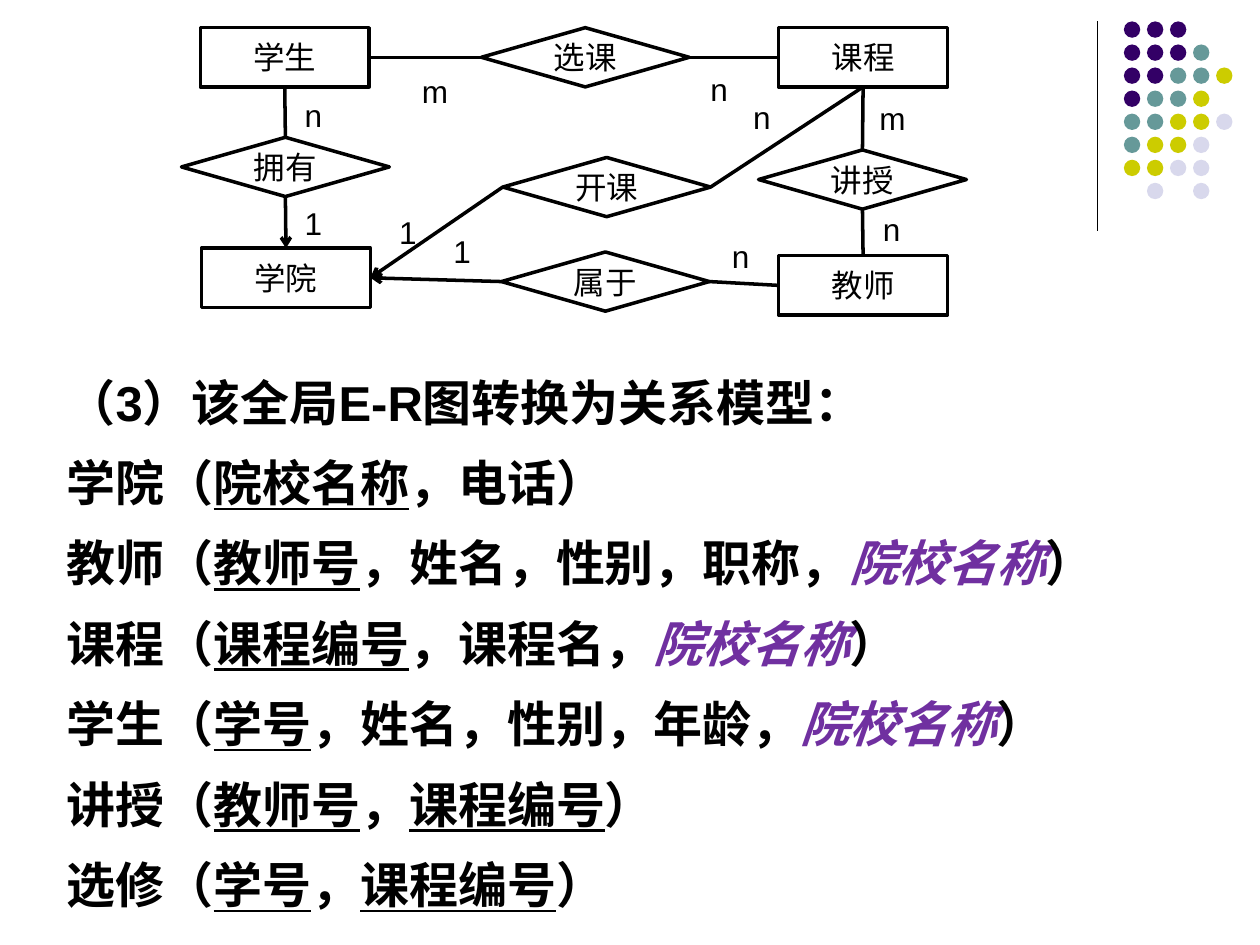
import pptx
import pptx.util
import pptx.dml.color
import pptx.enum.shapes
import pptx.enum.text
import pptx.oxml
import pptx.oxml.ns

Inches = pptx.util.Inches
Pt = pptx.util.Pt
SHAPE = pptx.enum.shapes.MSO_SHAPE
TOP, LEFT, BOTTOM, RIGHT = range(4)
FONT = "Arial"
BLACK = "000000"
PURPLE = "7030A0"
DOT_COLOURS = {"P": "330066", "T": "669999", "Y": "CCCC00", "L": "D8D8EC"}
DOT_ROWS = ["PPP", "PPPT", "PPTTY", "PTTY", "TTYYL", "TYYL", "YYLL", " L L"]

ENTITIES = {
    "学生": (0.15, 0),
    "课程": (4.74, 0),
    "学院": (0.16, 1.75),
    "教师": (4.74, 1.81),
}
RELATIONSHIPS = {
    "拥有": (0, 0.87),
    "选课": (2.38, 0),
    "开课": (2.55, 1.03),
    "属于": (2.54, 1.78),
    "讲授": (4.58, 0.97),
}
LINKS = [
    ("学生", BOTTOM, "拥有", TOP, False),
    ("拥有", BOTTOM, "学院", TOP, True),
    ("课程", LEFT, "选课", RIGHT, False),
    ("学生", RIGHT, "选课", LEFT, False),
    ("课程", BOTTOM, "开课", RIGHT, False),
    ("开课", LEFT, "学院", RIGHT, True),
    ("教师", LEFT, "属于", RIGHT, False),
    ("属于", LEFT, "学院", RIGHT, True),
    ("教师", TOP, "讲授", BOTTOM, False),
    ("讲授", TOP, "课程", BOTTOM, False),
]
CARDINALITIES = [
    ("n", 0.88, 0.49), ("1", 0.88, 1.35), ("m", 1.81, 0.3), ("n", 4.1, 0.29),
    ("1", 1.63, 1.42), ("n", 4.44, 0.51), ("m", 5.44, 0.52), ("1", 2.06, 1.57),
    ("n", 4.27, 1.61), ("n", 5.47, 1.4),
]

PLAIN, KEY, FOREIGN = "plain", "key", "foreign"
RELATIONS = [
    [("（3）该全局E-R图转换为关系模型：", PLAIN)],
    [("学院（", PLAIN), ("院校名称", KEY), ("，电话）", PLAIN)],
    [("教师（", PLAIN), ("教师号", KEY), ("，姓名，性别，职称，", PLAIN),
     ("院校名称", FOREIGN), ("）", PLAIN)],
    [("课程（", PLAIN), ("课程编号", KEY), ("，课程名，", PLAIN),
     ("院校名称", FOREIGN), ("）", PLAIN)],
    [("学生（", PLAIN), ("学号", KEY), ("，姓名，性别，年龄，", PLAIN),
     ("院校名称", FOREIGN), ("）", PLAIN)],
    [("讲授（", PLAIN), ("教师号", KEY), ("，", PLAIN), ("课程编号", KEY), ("）", PLAIN)],
    [("选修（", PLAIN), ("学号", KEY), ("，", PLAIN), ("课程编号", KEY), ("）", PLAIN)],
]


def colour(value):
    """Return the colour for a hex string."""
    return pptx.dml.color.RGBColor.from_string(value)


def format_run(run, size, value=BLACK):
    """Set the font, size and colour of a run."""
    run.font.name = FONT
    run.font.size = Pt(size)
    run.font.color.rgb = colour(value)


def style_line(connector, width, arrow=False):
    """Make a connector a plain black line, with an arrowhead if asked."""
    connector.line.color.rgb = colour(BLACK)
    connector.line.width = Pt(width)
    if arrow:
        tail = pptx.oxml.parse_xml(
            f'<a:tailEnd {pptx.oxml.ns.nsdecls("a")} type="arrow"/>')
        connector.line._get_or_add_ln().append(tail)
    connector._element.spPr.append(
        pptx.oxml.parse_xml(f'<a:effectLst {pptx.oxml.ns.nsdecls("a")}/>'))


def add_node(slide, kind, text, left, top, width, height):
    """Add a white outlined diagram node with centred text."""
    shape = slide.shapes.add_shape(kind, left, top, width, height)
    shape.shadow.inherit = False
    shape.fill.solid()
    shape.fill.fore_color.rgb = colour("FFFFFF")
    shape.line.color.rgb = colour(BLACK)
    shape.line.width = Pt(2)
    frame = shape.text_frame
    frame.text = text
    frame.word_wrap = False
    frame.vertical_anchor = pptx.enum.text.MSO_ANCHOR.MIDDLE
    frame.paragraphs[0].alignment = pptx.enum.text.PP_ALIGN.CENTER
    format_run(frame.paragraphs[0].runs[0], 18)
    return shape


def add_diagram(slide, left, top):
    """Draw the entity-relationship diagram from its top left corner."""
    nodes = {}
    groups = [(SHAPE.RECTANGLE, 1.34, ENTITIES), (SHAPE.DIAMOND, 1.65, RELATIONSHIPS)]
    for kind, width, places in groups:
        for name, (x, y) in places.items():
            nodes[name] = add_node(slide, kind, name, left + Inches(x),
                                   top + Inches(y), Inches(width), Inches(0.47))
    for start, start_side, end, end_side, arrow in LINKS:
        connector = slide.shapes.add_connector(
            pptx.enum.shapes.MSO_CONNECTOR.STRAIGHT, left, top, left, top)
        connector.begin_connect(nodes[start], start_side)
        connector.end_connect(nodes[end], end_side)
        style_line(connector, 2, arrow)
    for text, x, y in CARDINALITIES:
        width = Inches(0.41 if text == "m" else 0.34)
        label = slide.shapes.add_textbox(
            left + Inches(x), top + Inches(y), width, Inches(0.4))
        label.text_frame.text = text
        label.text_frame.word_wrap = False
        format_run(label.text_frame.paragraphs[0].runs[0], 18)


def add_decoration(slide, left, top):
    """Draw the vertical rule and the dot grid beside it."""
    rule = slide.shapes.add_connector(
        pptx.enum.shapes.MSO_CONNECTOR.STRAIGHT, left, top, left, top + Inches(1.66))
    style_line(rule, 0.75)
    pitch = Inches(0.183)
    for row, codes in enumerate(DOT_ROWS):
        for column, code in enumerate(codes):
            if code == " ":
                continue
            dot = slide.shapes.add_shape(
                SHAPE.OVAL, left + Inches(0.21) + column * pitch, top + row * pitch,
                Inches(0.13), Inches(0.13))
            dot.shadow.inherit = False
            dot.fill.solid()
            dot.fill.fore_color.rgb = colour(DOT_COLOURS[code])
            dot.line.fill.background()


def fill_relations(body, left, top, width, height):
    """Place the body placeholder and write the relational schema in it."""
    body.left, body.top, body.width, body.height = left, top, width, height
    frame = body.text_frame
    frame.auto_size = pptx.enum.text.MSO_AUTO_SIZE.NONE
    frame.text = "\n".join("" for _ in RELATIONS)
    for paragraph, parts in zip(frame.paragraphs, RELATIONS):
        paragraph.line_spacing = 1.2
        properties = paragraph._p.get_or_add_pPr()
        properties.set("marL", str(Inches(0.38)))
        properties.set("indent", str(-Inches(0.38)))
        properties.append(
            pptx.oxml.parse_xml(f'<a:buNone {pptx.oxml.ns.nsdecls("a")}/>'))
        for text, role in parts:
            run = paragraph.add_run()
            run.text = text
            format_run(run, 28, PURPLE if role == FOREIGN else BLACK)
            run.font.bold = True
            run.font.italic = role == FOREIGN
            run.font.underline = role == KEY


def main():
    """Build the slide and save the presentation."""
    presentation = pptx.Presentation()
    presentation.slide_width = Inches(10)
    presentation.slide_height = Inches(7.5)
    slide = presentation.slides.add_slide(presentation.slide_layouts[1])
    title = slide.shapes.title._element
    title.getparent().remove(title)
    add_decoration(slide, Inches(8.71), Inches(0.17))
    fill_relations(slide.placeholders[1], Inches(0.43), Inches(2.81),
                   Inches(9), Inches(4.57))
    add_diagram(slide, Inches(1.44), Inches(0.22))
    presentation.save("out.pptx")


if __name__ == "__main__":
    main()
